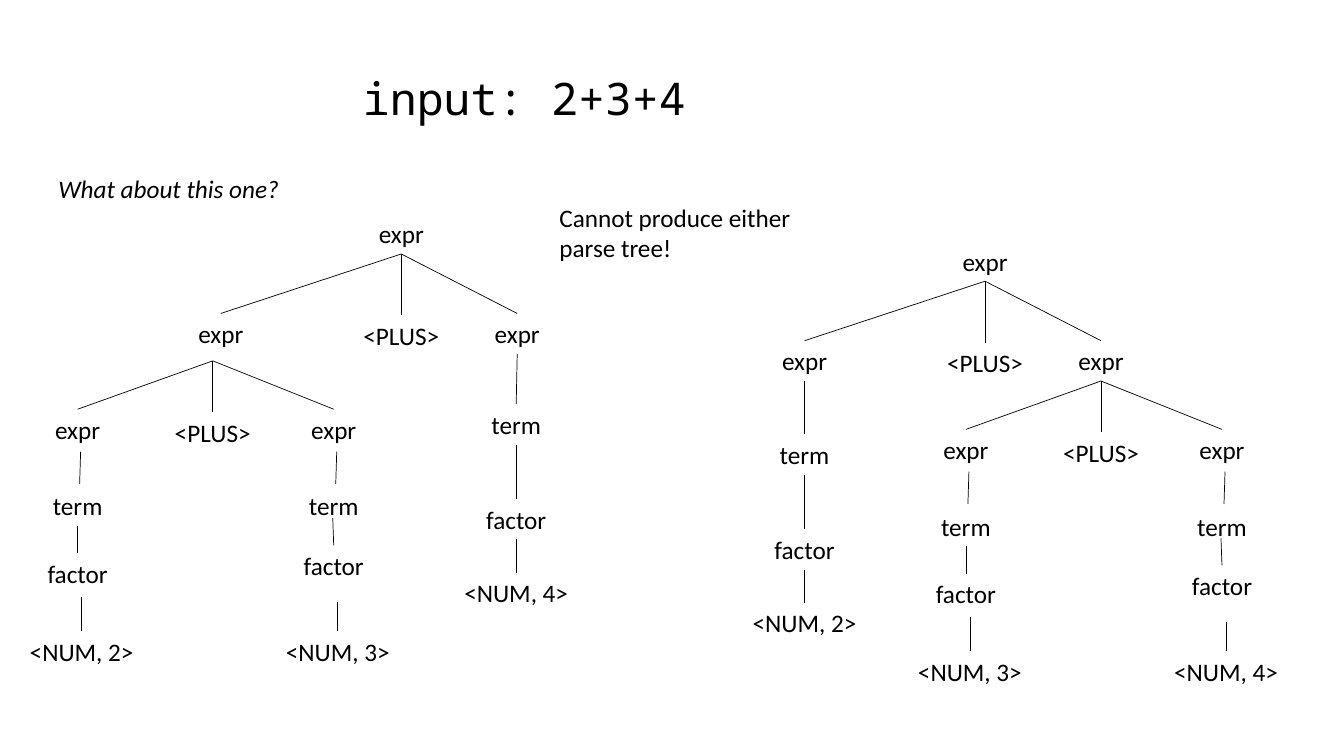
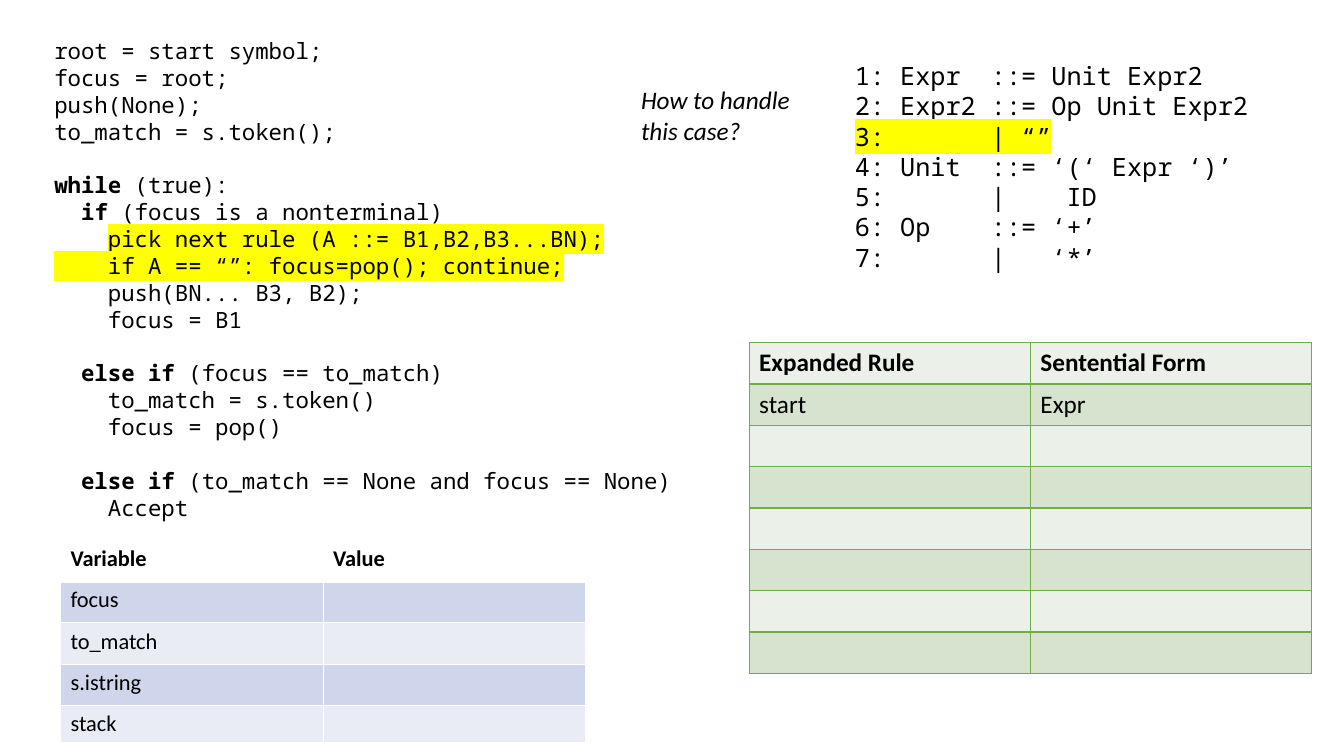
import lxml.etree
import pptx
import pptx.dml.color
import pptx.enum.shapes
import pptx.enum.text
import pptx.oxml.ns
import pptx.util

Inches = pptx.util.Inches
Pt = pptx.util.Pt
qn = pptx.oxml.ns.qn

COLORS = {
    "ink": "000000", "paper": "FFFFFF", "marker": "FFFF00",
    "rule_border": "70AD47", "rule_light": "EBF1E9", "rule_dark": "D5E3CF",
    "value_light": "E9EBF5", "value_dark": "CFD5EA",
}
SANS = "Calibri"
MONO = "Noto Sans Mono"
BOLD = {"bold": True}
MARKED = {"highlight": "marker"}

TOKEN_HEIGHT = 0.4
TOKEN_WIDTHS = {"expr": 0.65, "<PLUS>": 0.96, "term": 0.7, "factor": 0.8}
NUMBER_WIDTH = 1.24
LEAF_SPACING = 2.54

PARSER_BLOCKS = [
    ["root = start symbol;", "focus = root;", "push(None);", "to_match = s.token();"],
    [
        [("while", BOLD), " (true):"],
        ["  ", ("if", BOLD), " (focus is a nonterminal)"],
        ["    ", ("pick next rule (A ::= B1,B2,B3...BN);", MARKED)],
        [("    if A == “”: focus=pop(); continue;", MARKED)],
        "    push(BN... B3, B2);",
        "    focus = B1",
    ],
    [
        [("  else if ", BOLD), "(focus == to_match)"],
        "    to_match = s.token()",
        "    focus = pop()",
    ],
    [
        [("  else if ", BOLD), "(to_match == None and focus == None)"],
        "    Accept",
    ],
]
GRAMMAR_BLOCKS = [[
    "1: Expr  ::= Unit Expr2",
    "2: Expr2 ::= Op Unit Expr2",
    [("3:       | “”", MARKED)],
    "4: Unit  ::= ‘(‘ Expr ‘)’",
    "5:       |    ID",
    "6: Op    ::= ‘+’",
    "7:       |   ‘*’",
]]
EXPANSIONS = [("Expanded Rule", "Sentential Form"), ("start", "Expr")] + [("", "")] * 6
VARIABLES = [("Variable", "Value")] + [
    (name, "") for name in ("focus", "to_match", "s.istring", "stack")]


def rgb(name):
    """Return the named colour."""
    return pptx.dml.color.RGBColor.from_string(COLORS[name])


def add_fill(parent, tag, color):
    """Create a colour element under the given tag."""
    holder = lxml.etree.SubElement(parent, qn(tag))
    lxml.etree.SubElement(holder, qn("a:srgbClr")).set("val", COLORS[color])
    return holder


def write(frame, blocks, size=18, font=SANS, bold=False, italic=False,
          align="LEFT", block_gap=0):
    """Write blocks of lines, each line a string or a list of styled pieces."""
    paragraph = None
    for block in blocks:
        for number, line in enumerate(block):
            first = paragraph is None
            paragraph = frame.paragraphs[0] if first else frame.add_paragraph()
            paragraph.alignment = getattr(pptx.enum.text.PP_ALIGN, align)
            if number == 0 and not first:
                paragraph.space_before = Pt(block_gap)
            for piece in [line] if isinstance(line, str) else line:
                text, style = (piece, {}) if isinstance(piece, str) else piece
                run = paragraph.add_run()
                run.text = text
                run.font.size = Pt(size)
                run.font.bold = style.get("bold", bold)
                run.font.italic = italic
                run.font.color.rgb = rgb("ink")
                run.font.name = font
                if "highlight" in style:
                    properties = run.font._element
                    highlight = add_fill(properties, "a:highlight", style["highlight"])
                    properties.find(qn("a:latin")).addprevious(highlight)


def add_text(slide, box, blocks, wrap=True, **style):
    """Add a text box at left, top, width, height."""
    shape = slide.shapes.add_textbox(*map(Inches, box))
    shape.text_frame.word_wrap = wrap
    write(shape.text_frame, blocks, **style)
    return shape


def add_token(slide, label, center, top):
    """Add one parse tree node centred under a point."""
    width = TOKEN_WIDTHS.get(label, NUMBER_WIDTH)
    return add_text(slide, (center - width / 2, top, width, TOKEN_HEIGHT),
                    [[label]], wrap=False, align="CENTER")


def add_link(slide, start, end):
    """Draw a line between two ends, each a node to join or a point."""
    points = [(Inches(end_[0]), Inches(end_[1])) if isinstance(end_, tuple) else (0, 0)
              for end_ in (start, end)]
    link = slide.shapes.add_connector(
        pptx.enum.shapes.MSO_CONNECTOR.STRAIGHT, *points[0], *points[1])
    if not isinstance(start, tuple):
        link.begin_connect(start, 2)
    if not isinstance(end, tuple):
        link.end_connect(end, 0)
    link.line.color.rgb = rgb("ink")
    link.line.width = Pt(0.5)
    lxml.etree.SubElement(link._element.spPr, qn("a:effectLst"))


def add_sum(slide, apex, x, y, left, right, drop, plus_drop):
    """Branch an apex into expr, plus and expr, and return both expr nodes."""
    children = [add_token(slide, label, x + shift, y + fall) for label, shift, fall in (
        ("expr", -left, drop), ("<PLUS>", 0, plus_drop), ("expr", right, drop))]
    for child in children:
        add_link(slide, apex, child)
    return children[0], children[2]


def add_root(slide, x, y):
    """Add the root and its branches, and return both operand nodes."""
    root = add_token(slide, "expr", x, y)
    return add_sum(slide, root, x, y + TOKEN_HEIGHT, 1.79, 1.15, 0.59, 0.61)


def add_long_chain(slide, operand, x, y, number):
    """Hang evenly joined term, factor and number nodes below an operand."""
    above = operand
    for label, drop in (("term", 0), ("factor", 0.94), (f"<NUM, {number}>", 1.67)):
        node = add_token(slide, label, x, y + drop)
        add_link(slide, above, node)
        above = node


def add_leaf_chain(slide, x, y, number, factor_drop, last_start, term_exit=None):
    """Add term, factor and number nodes below the expr at x, y."""
    term = add_token(slide, "term", x, y + 0.76)
    factor = add_token(slide, "factor", x, y + factor_drop)
    leaf = add_token(slide, f"<NUM, {number}>", x + 0.04, y + 2.2)
    add_link(slide, (x + 0.03, y + 0.42), (x + 0.02, y + 0.74))
    add_link(slide, (x - 0.01, y + term_exit) if term_exit else term, factor)
    add_link(slide, (x + 0.04, y + last_start), leaf)


def add_inner_sum(slide, apex, x, y, numbers):
    """Add the nested sum with its two leaf chains below the apex point."""
    left = 1.34
    drop = 0.48
    add_sum(slide, apex, x, y, left, LEAF_SPACING - left, drop, 0.51)
    add_leaf_chain(slide, x - left, y + drop, numbers[0], 1.43, 1.86)
    add_leaf_chain(slide, x - left + LEAF_SPACING, y + drop, numbers[1], 1.35, 1.91, 1.08)


def add_left_tree(slide, x, y):
    """Add the left-associative tree with its root at x, y."""
    operand = add_root(slide, x, y)[1]
    apex = (x - 1.87, y + 1.46)
    add_inner_sum(slide, apex, *apex, (2, 3))
    add_long_chain(slide, operand, x + 1.14, y + 1.89, 4)


def add_right_tree(slide, x, y):
    """Add the right-associative tree with its root at x, y."""
    first, second = add_root(slide, x, y)
    add_inner_sum(slide, second, x + 1.15, y + 1.39, (3, 4))
    add_long_chain(slide, first, x - 1.79, y + 1.92, 2)


def set_borders(cell, color, bottom):
    """Outline a cell, with its own width for the bottom edge."""
    properties = cell._tc.get_or_add_tcPr()
    for side in "LRTB":
        edge = add_fill(lxml.etree.SubElement(properties, qn(f"a:ln{side}")),
                        "a:solidFill", color).getparent()
        edge.set("w", str(Pt(bottom if side == "B" else 1)))


def add_grid(slide, box, rows, heights, border, fills, size, header_edge=1):
    """Add a table whose first row is the header; fills has one colour a row."""
    table = slide.shapes.add_table(len(rows), len(rows[0]), *map(Inches, box)).table
    for index, (texts, height, fill) in enumerate(zip(rows, heights, fills)):
        table.rows[index].height = Inches(height)
        for column, text in enumerate(texts):
            cell = table.cell(index, column)
            set_borders(cell, border, header_edge if index == 0 else 1)
            cell.fill.solid()
            cell.fill.fore_color.rgb = rgb(fill)
            if text:
                write(cell.text_frame, [[text]], size=size, bold=index == 0)
            else:
                blank = lxml.etree.SubElement(
                    cell.text_frame.paragraphs[0]._p, qn("a:endParaRPr"))
                blank.set("sz", str(size * 100))


def add_title(slide, box, text):
    """Place and write the title placeholder."""
    title = slide.shapes.title
    title.left, title.top, title.width, title.height = map(Inches, box)
    title.text_frame.auto_size = pptx.enum.text.MSO_AUTO_SIZE.NONE
    title.text_frame.vertical_anchor = pptx.enum.text.MSO_ANCHOR.TOP
    write(title.text_frame, [[text]], size=32, font=MONO)


def build_trees_slide(deck):
    """Build the slide with both parse trees."""
    slide = deck.slides.add_slide(deck.slide_layouts[5])
    add_title(slide, (3.5, 0.65, 3.6, 0.64), "input: 2+3+4")
    add_text(slide, (0.48, 1.67, 2.6, 0.4), [["What about this one?"]], italic=True)
    add_text(slide, (5.45, 1.96, 2.7, 0.71), [["Cannot produce either", "parse tree!"]])
    add_left_tree(slide, 3.98, 2.12)
    add_right_tree(slide, 9.77, 2.39)


def build_parser_slide(deck):
    """Build the slide with the parser code, grammar and tables."""
    slide = deck.slides.add_slide(deck.slide_layouts[6])
    add_text(slide, (0.44, 0.32, 6.55, 5), PARSER_BLOCKS, size=16, font=MONO,
             block_gap=19.2)
    add_text(slide, (8.38, 0.55, 4.28, 2.22), GRAMMAR_BLOCKS, font=MONO)
    add_text(slide, (6.26, 0.79, 1.9, 0.71), [["How to handle", "this case?"]],
             italic=True)
    add_grid(slide, (7.43, 3.4, 5.58, 3.24), EXPANSIONS, [0.41] * 8, "rule_border",
             ["rule_light", "rule_dark"] * 4, size=18)
    add_grid(slide, (0.6, 5.36, 5.21, 1.99), VARIABLES, [0.41] * 4 + [0.35], "paper",
             ["paper"] + ["value_dark", "value_light"] * 2, size=16, header_edge=3)


def main():
    """Build and save the deck."""
    deck = pptx.Presentation()
    deck.slide_width = Inches(13.33)
    deck.slide_height = Inches(7.5)
    build_trees_slide(deck)
    build_parser_slide(deck)
    deck.save("out.pptx")


if __name__ == "__main__":
    main()
